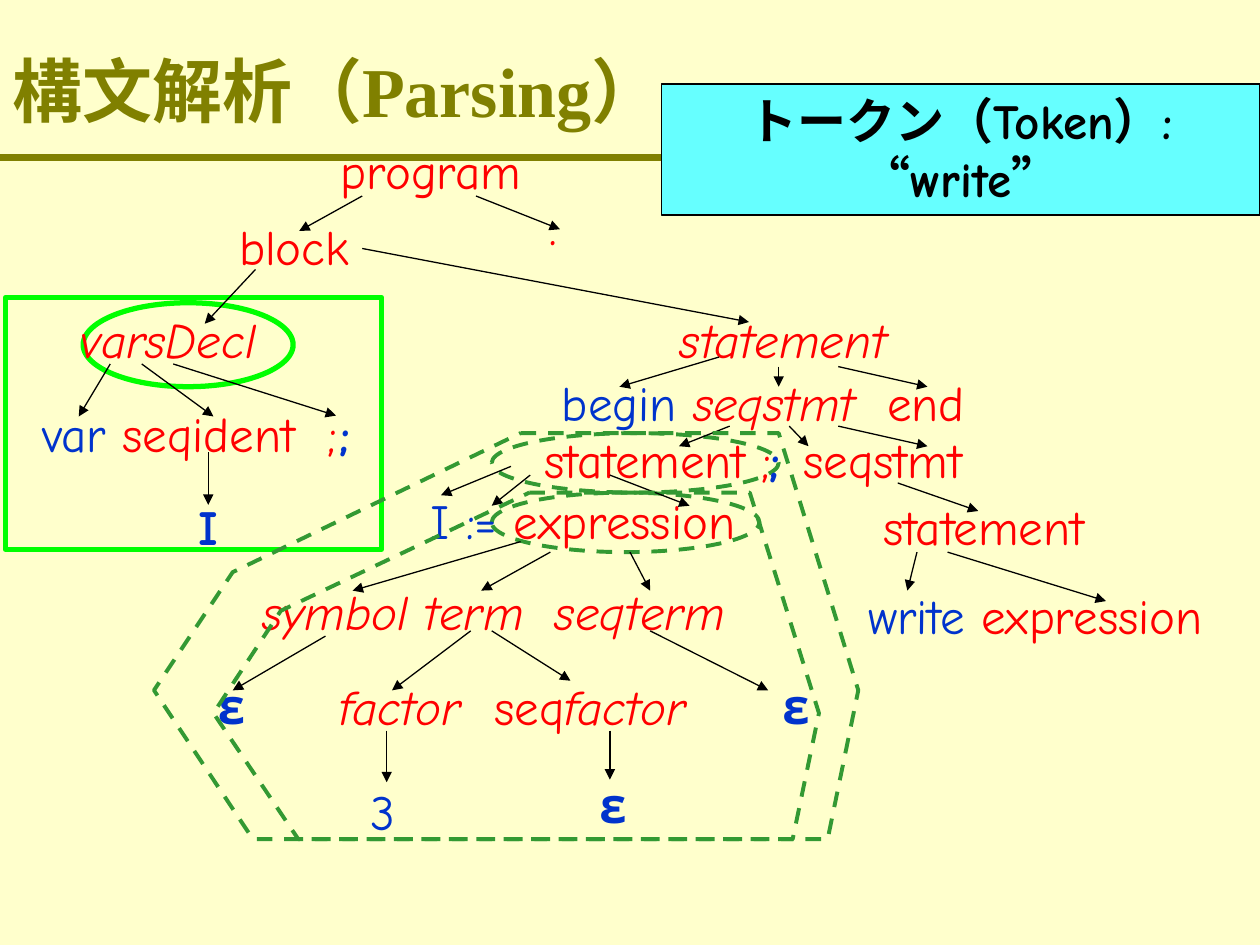
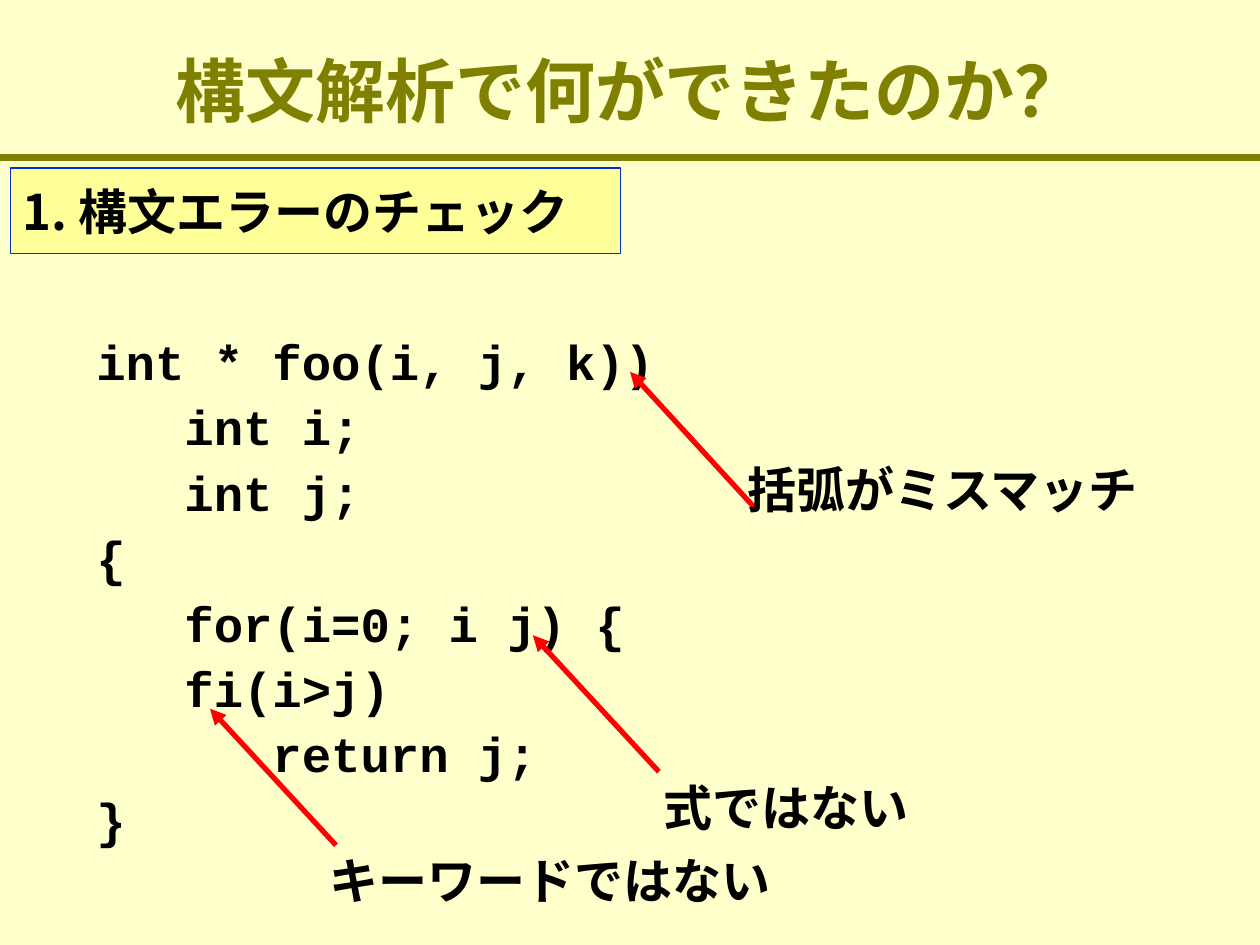
"""Build two slides on parsing: a syntax tree and a list of syntax errors."""
from lxml import etree
from pptx import Presentation
from pptx.dml.color import RGBColor
from pptx.enum.dml import MSO_LINE
from pptx.enum.shapes import MSO_CONNECTOR, MSO_SHAPE
from pptx.enum.text import MSO_ANCHOR, PP_ALIGN
from pptx.oxml.ns import qn
from pptx.util import Pt

STRAIGHT = MSO_CONNECTOR.STRAIGHT
RECTANGLE, OVAL = MSO_SHAPE.RECTANGLE, MSO_SHAPE.OVAL
LEFT, CENTER = PP_ALIGN.LEFT, PP_ALIGN.CENTER
TOP, MIDDLE = MSO_ANCHOR.TOP, MSO_ANCHOR.MIDDLE
DASH = MSO_LINE.DASH

WIDTH, HEIGHT = 720, 540
LINE_HEIGHT = 41
CREAM, OLIVE, BLACK, RED, BLUE = "FFFFCC", "808000", "000000", "FF0000", "0033CC"
LIME, GREEN, CYAN, YELLOW = "00FF00", "339933", "66FFFF", "FFFF99"
SERIF, HAND, CODE, JAPANESE = (
    "Times New Roman", "Comic Neue", "Courier New", "Noto Sans CJK JP")

NODE_STYLES = {
    "symbol": {"color": RED},
    "rule": {"color": RED, "italic": True},
    "token": {"color": BLUE},
    "match": {"color": BLUE, "bold": True},
}

TREE_TITLE = "構文解析（Parsing）"
TOKEN = "トークン（Token）: “write”"
TREE_NODES = [
    (187.5, 77, 126, [("program", "symbol")]),
    (307, 108.5, 24, [(".", "symbol")]),
    (129.5, 120, 90, [("block", "symbol")]),
    (39, 173.5, 126, [("varsDecl", "rule")]),
    (381.5, 173.5, 144, [("statement", "rule")]),
    (17, 227, 170, [("var", "token"), (" seqident", "symbol")]),
    (180, 227, 24, [(";", "symbol")]),
    (187, 227, 24, [(";", "match")]),
    (106.5, 280, 28, [("I", "match")]),
    (314, 209.5, 192, [("begin ", "token"), ("seqstmt", "rule")]),
    (500, 209.5, 70, [("end", "symbol")]),
    (304, 242, 156, [("statement ;", "symbol")]),
    (432.5, 242, 24, [(";", "match")]),
    (452, 242, 116, [("seqstmt", "symbol")]),
    (239, 277, 200, [("I :=", "token"), (" expression", "symbol")]),
    (497.5, 280, 140, [("statement", "symbol")]),
    (489, 331, 220, [("write", "token"), (" expression", "symbol")]),
    (143, 328.5, 174, [("symbol term", "rule")]),
    (310, 328.5, 122, [("seqterm", "rule")]),
    (117.5, 382.5, 30, [("ε", "match")]),
    (187, 383, 96, [("factor", "rule")]),
    (275.5, 383, 136, [("seq", "symbol"), ("factor", "rule")]),
    (440, 382.5, 30, [("ε", "match")]),
    (204.5, 443, 30, [("3", "token")]),
    (335.5, 439, 30, [("ε", "match")]),
]
TREE_ARROWS = [
    ((207, 112), (171, 132)), ((272, 112), (320, 131)),
    ((146, 154), (117, 185)), ((207, 142), (428, 184)),
    ((63, 208), (45, 238)), ((81, 208), (122, 238)), ((99, 208), (192, 237.5)),
    ((119, 258.5), (119, 288.5)),
    ((411, 204), (354, 221)), ((445, 209.5), (445, 221)), ((479, 209.5), (530, 221)),
    ((417, 243.5), (388, 255)), ((451, 243.5), (462, 255)), ((479, 243.5), (530, 255)),
    ((292, 266.5), (252, 283)), ((303, 271.5), (281, 289)), ((348.5, 271.5), (394, 289)),
    ((513, 276), (559, 292)), ((524, 315.5), (518.5, 337.5)), ((541.5, 315.5), (632, 343.5)),
    ((297.5, 309.5), (201.5, 337.5)), ((314.5, 315.5), (275, 337.5)),
    ((360, 315.5), (371.5, 337.5)),
    ((186, 363.5), (133, 394.5)), ((269, 360.5), (224, 394.5)),
    ((281, 360.5), (326, 389)), ((371.5, 360.5), (439, 394.5)),
    ((221, 417.5), (221, 447)), ((348.5, 417.5), (348.5, 445.5)),
]
MARKS = [
    (RECTANGLE, (3, 170, 215, 144), {"line": LIME, "weight": 3}),
    (OVAL, (47.5, 173, 120, 48), {"line": LIME, "weight": 3}),
    (OVAL, (281, 281.5, 153, 34), {"line": GREEN, "weight": 2.25, "dash": DASH}),
    (OVAL, (281, 247.5, 164, 34), {"line": GREEN, "weight": 2.25, "dash": DASH}),
]
SUBTREES = [
    [(302.5, 281.5), (428.5, 281.5), (468, 407.5), (453, 479.5),
     (170.5, 479.5), (122, 407.5), (160.5, 349)],
    [(297.5, 247.5), (445, 247.5), (490.5, 394.5), (473, 479.5),
     (144.5, 479.5), (88, 394.5), (133, 327)],
]

ERRORS_TITLE = "構文解析で何ができたのか？"
ERRORS_HEADING = "1. 構文エラーのチェック"
CODE_LINES = [
    "int * foo(i, j, k))",
    "   int i;",
    "   int j;",
    "{",
    "   for(i=0; i j) {",
    "   fi(i>j)",
    "      return j;",
    "}",
]
ERRORS = [
    ("括弧がミスマッチ", (420, 259), (432, 291), (360, 212.5)),
    ("式ではない", (372, 441), (376.5, 441), (304.5, 363)),
    ("キーワードではない", (181.5, 482.5), (192, 483), (120, 405)),
]


def rgb(value):
    """Turn a hex string into a colour."""
    return RGBColor.from_string(value)


def add_span(para, text, font=HAND, size=28, color=BLACK, bold=False, italic=False):
    """Add formatted text to a paragraph."""
    span = para.add_run()
    span.text = text
    span.font.name, span.font.size = font, Pt(size)
    span.font.bold, span.font.italic = bold, italic
    span.font.color.rgb = rgb(color)
    east_asian = etree.SubElement(span._r.get_or_add_rPr(), qn("a:ea"))
    east_asian.set("typeface", JAPANESE)


def set_frame(shape, anchor=TOP, align=LEFT):
    """Prepare a shape for wrapped text and return its first paragraph."""
    frame = shape.text_frame
    frame.word_wrap = True
    frame.vertical_anchor = anchor
    para = frame.paragraphs[0]
    para.alignment = align
    return para


def add_box(page, left, top, width, height=LINE_HEIGHT):
    """Add a text box and return its first paragraph."""
    return set_frame(page.shapes.add_textbox(Pt(left), Pt(top), Pt(width), Pt(height)))


def style_shape(shape, line, weight=0.75, fill=None, dash=None):
    """Set the outline and the fill of a shape."""
    shape.shadow.inherit = False
    if fill:
        shape.fill.solid()
        shape.fill.fore_color.rgb = rgb(fill)
    else:
        shape.fill.background()
    shape.line.color.rgb = rgb(line)
    shape.line.width = Pt(weight)
    if dash:
        shape.line.dash_style = dash


def add_shape(page, kind, bounds, **look):
    """Add a preset shape."""
    shape = page.shapes.add_shape(kind, *map(Pt, bounds))
    style_shape(shape, **look)
    return shape


def add_line(page, start, end, color=BLACK, weight=0.75, arrow=True):
    """Add a straight line, with an arrowhead at its end if wanted."""
    line = page.shapes.add_connector(STRAIGHT, *map(Pt, (*start, *end)))
    line.line.color.rgb = rgb(color)
    line.line.width = Pt(weight)
    if arrow:
        outline = line.line._get_or_add_ln()
        etree.SubElement(outline, qn("a:tailEnd")).set("type", "triangle")
    etree.SubElement(line._element.spPr, qn("a:effectLst"))


def add_page(deck, title, align):
    """Add a slide with its title and the band below it."""
    page = deck.slides.add_slide(deck.slide_layouts[5])
    add_line(page, (0, 90), (WIDTH, 90), color=OLIVE, weight=4.5, arrow=False)
    holder = page.shapes.title
    holder.left, holder.top, holder.width, holder.height = map(Pt, (0, 6, WIDTH, 90))
    para = set_frame(holder, MIDDLE, align)
    add_span(para, title, font=SERIF, size=40, color=OLIVE, bold=True)
    return page


def build_tree(deck):
    """Build the syntax tree slide."""
    page = add_page(deck, TREE_TITLE, LEFT)
    for kind, bounds, look in MARKS:
        add_shape(page, kind, bounds, **look)
    for left, top, width, words in TREE_NODES:
        para = add_box(page, left, top, width)
        for text, style in words:
            add_span(para, text, **NODE_STYLES[style])
    for start, end in TREE_ARROWS:
        add_line(page, start, end)
    for corners in SUBTREES:
        points = [(Pt(x), Pt(y)) for x, y in corners]
        builder = page.shapes.build_freeform(*points[0], scale=1.0)
        builder.add_line_segments(points[1:], close=True)
        style_shape(builder.convert_to_shape(), GREEN, 2.25, dash=DASH)
    banner = add_shape(page, RECTANGLE, (378, 48, 342, 75), line=BLACK, fill=CYAN)
    add_span(set_frame(banner, align=CENTER), TOKEN, bold=True)


def build_errors(deck):
    """Build the syntax error slide."""
    page = add_page(deck, ERRORS_TITLE, CENTER)
    heading = add_shape(page, RECTANGLE, (6, 96, 348.5, 49), line=BLUE, fill=YELLOW)
    add_span(set_frame(heading, MIDDLE), ERRORS_HEADING, font=JAPANESE, bold=True)
    para = add_box(page, 48, 189, 660, 310)
    frame = para._parent
    for index, code in enumerate(CODE_LINES):
        if index:
            para = frame.add_paragraph()
            para.space_before = Pt(7)
        para.line_spacing = Pt(30.4)
        add_span(para, code, font=CODE, bold=True)
    for text, (left, top), start, end in ERRORS:
        add_line(page, start, end, color=RED, weight=3)
        para = add_box(page, left, top, 28 * len(text) + 20)
        add_span(para, text, font=SERIF, bold=True)


def main():
    """Build and save the deck."""
    deck = Presentation()
    deck.slide_width, deck.slide_height = Pt(WIDTH), Pt(HEIGHT)
    background = deck.slide_master.background.fill
    background.solid()
    background.fore_color.rgb = rgb(CREAM)
    build_tree(deck)
    build_errors(deck)
    deck.save("out.pptx")


if __name__ == "__main__":
    main()
